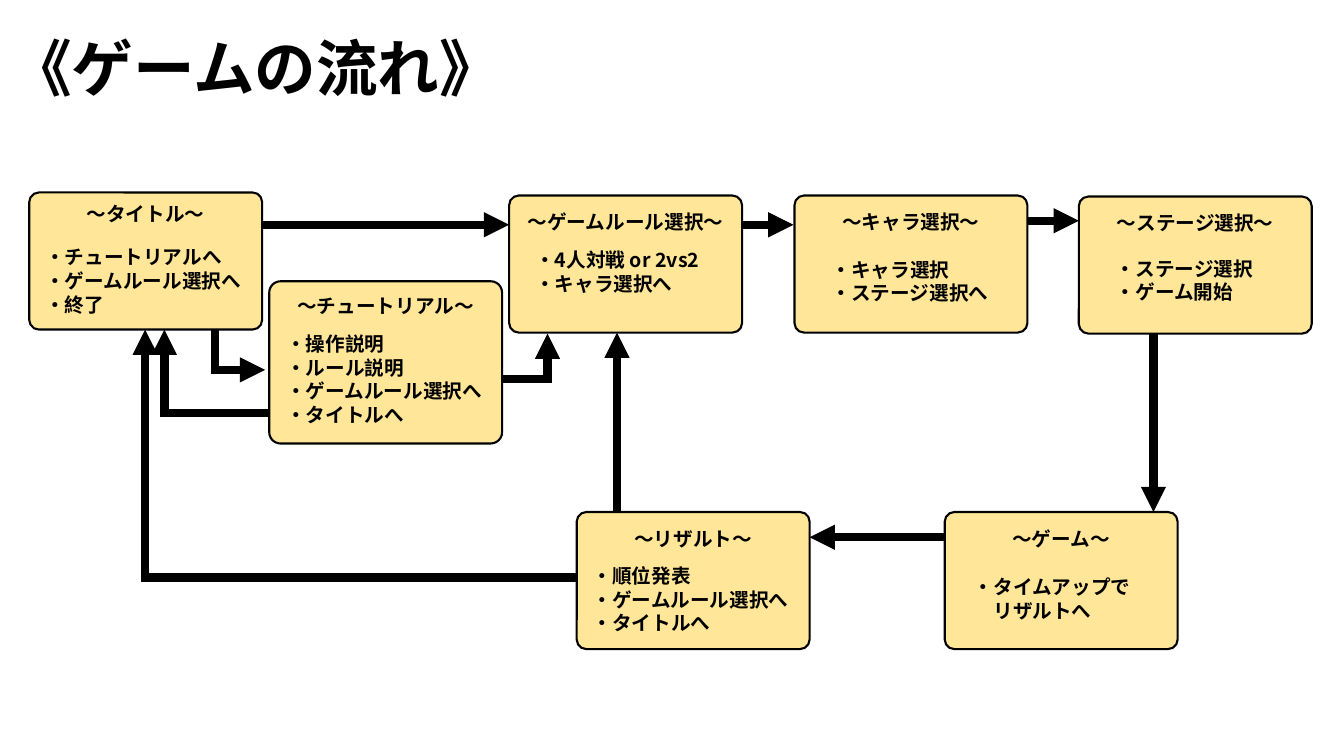
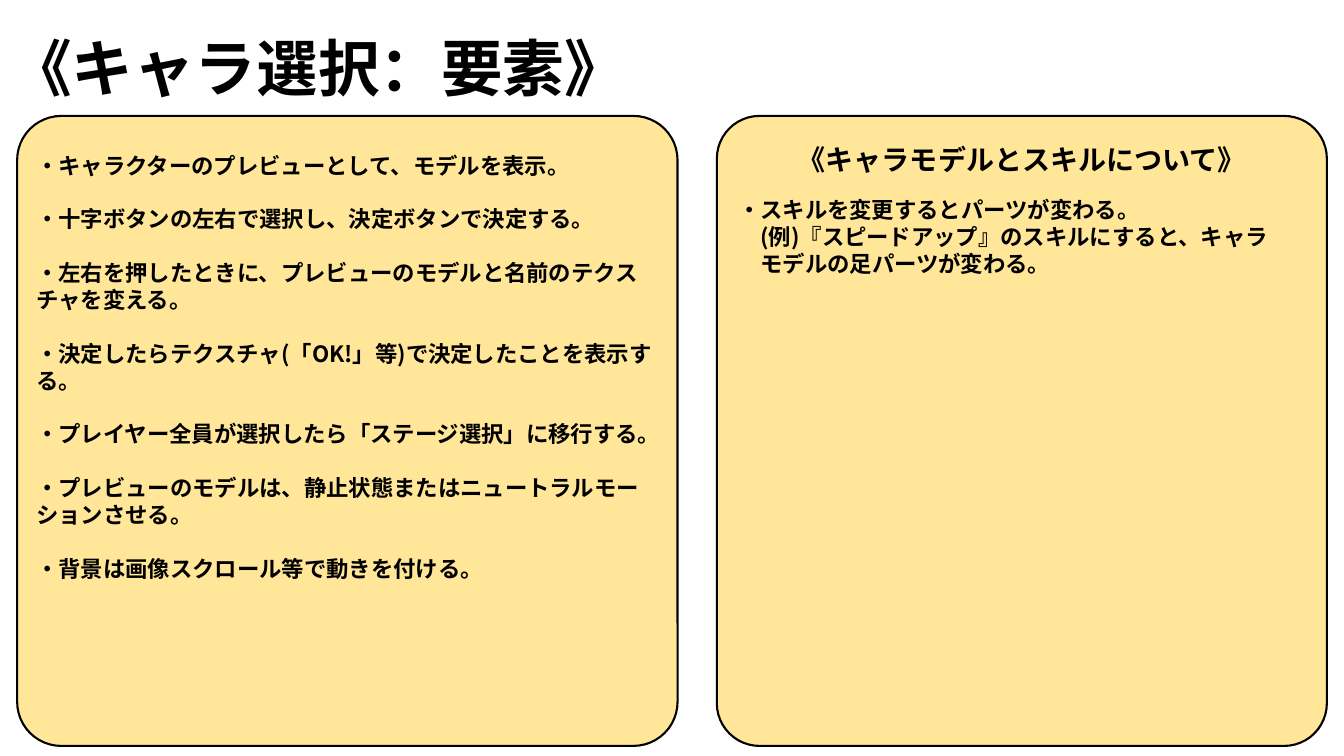
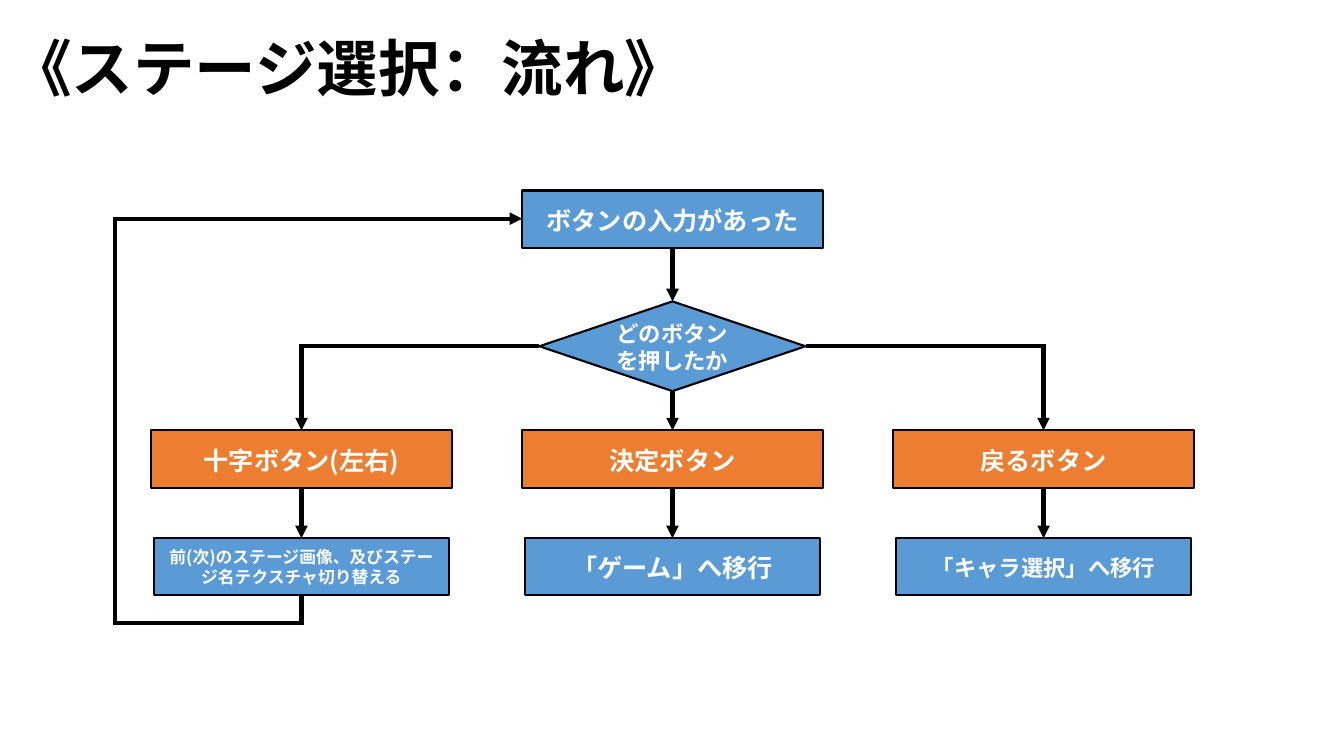
from itertools import pairwise
from lxml.etree import SubElement
from pptx import Presentation
from pptx.dml.color import RGBColor
from pptx.enum.shapes import MSO_CONNECTOR, MSO_SHAPE
from pptx.enum.text import MSO_ANCHOR, MSO_AUTO_SIZE, PP_ALIGN
from pptx.oxml.ns import qn
from pptx.util import Inches, Pt

FONT = "Noto Sans CJK JP"
BLACK, WHITE = "000000", "FFFFFF"
CREAM, BLUE, ORANGE = "FFE699", "5B9BD5", "ED7D31"


def tint(code):
    return RGBColor.from_string(code)


def write(frame, lines, size=14, color=BLACK, align=PP_ALIGN.LEFT,
          anchor=MSO_ANCHOR.TOP, gap=0):
    frame.word_wrap = True
    frame.auto_size = MSO_AUTO_SIZE.NONE
    frame.vertical_anchor = anchor
    frame.margin_left = frame.margin_right = Inches(0.1)
    frame.margin_top = Inches(0.05 + size / 1000)
    frame.margin_bottom = Inches(0.05)
    for rank, line in enumerate(lines):
        text, left, first = line if isinstance(line, tuple) else (line, 0, 0)
        para = frame.paragraphs[0] if rank == 0 else frame.add_paragraph()
        para.text = text
        para.alignment = align
        para.line_spacing = Pt(size * 1.2)
        para.space_before = Pt(0)
        para.space_after = Pt(gap)
        props = para._p.get_or_add_pPr()
        props.set("marL", str(Pt(left)))
        props.set("indent", str(Pt(first)))
        SubElement(props, qn("a:buNone"))
        for run in para.runs:
            font = run.font
            font.name, font.size, font.bold = FONT, Pt(size), True
            font.color.rgb = tint(color)
            east = SubElement(run._r.get_or_add_rPr(), qn("a:ea"))
            east.set("typeface", FONT)


class Deck:
    def __init__(self):
        self.file = Presentation()
        self.file.slide_width = Inches(13.33)
        self.file.slide_height = Inches(7.5)
        self.slide = None

    def start(self, title, layout=5):
        self.slide = self.file.slides.add_slide(self.file.slide_layouts[layout])
        self.place(self.slide.shapes.title, (0, 0.2, 12.5, 0.84))
        write(self.slide.shapes.title.text_frame, [title], size=44)

    def place(self, shape, box):
        shape.left, shape.top, shape.width, shape.height = map(Inches, box)

    def body(self, index, box, lines, **style):
        holder = self.slide.placeholders[index]
        self.place(holder, box)
        holder.element.getparent().append(holder.element)
        write(holder.text_frame, lines, **style)

    def text(self, box, lines, **style):
        label = self.slide.shapes.add_textbox(*map(Inches, box))
        write(label.text_frame, lines, **style)

    def shape(self, kind, box, fill):
        shape = self.slide.shapes.add_shape(kind, *map(Inches, box))
        shape.shadow.inherit = False
        shape.fill.solid()
        shape.fill.fore_color.rgb = tint(fill)
        shape.line.color.rgb = tint(BLACK)
        shape.line.width = Pt(1.5)
        return shape

    def panel(self, box):
        self.shape(MSO_SHAPE.ROUNDED_RECTANGLE, box, CREAM).adjustments[0] = 0.07

    def card(self, spot, head, drop, spare, lines, high=1.36):
        x, y = spot
        left, top, width = spare
        self.panel((x, y, 2.31, high))
        self.text((x, y + drop, 2.31, 0.34), [head], align=PP_ALIGN.CENTER)
        self.text((left, top, width, 0.1 + 0.24 * len(lines)), lines)

    def node(self, mid, top, size, text, fill=BLUE, points=18,
             kind=MSO_SHAPE.FLOWCHART_PROCESS):
        wide, high = size
        shape = self.shape(kind, (mid - wide / 2, top, wide, high), fill)
        write(shape.text_frame, [text], size=points, color=WHITE,
              align=PP_ALIGN.CENTER, anchor=MSO_ANCHOR.MIDDLE)

    def arrow(self, *stops, width=3):
        legs = list(pairwise(stops))
        for rank, (tail, head) in enumerate(legs):
            leg = self.slide.shapes.add_connector(
                MSO_CONNECTOR.STRAIGHT, *map(Inches, tail + head))
            leg.line.color.rgb = tint(BLACK)
            leg.line.width = Pt(width)
            line = leg.line._get_or_add_ln()
            if rank:
                line.set("cap", "sq")
            if rank == len(legs) - 1:
                SubElement(line, qn("a:tailEnd")).set("type", "triangle")
            SubElement(leg._element.spPr, qn("a:effectLst"))


def game(deck):
    deck.start("《ゲームの流れ》")
    deck.card((0.29, 1.91), "～タイトル～", 0.03, (0.35, 2.37, 2.17),
              ["・チュートリアルへ", "・ゲームルール選択へ", "・終了"])
    deck.card((2.67, 2.79), "～チュートリアル～", 0.06, (2.74, 3.23, 2.17),
              ["・操作説明", "・ルール説明", "・ゲームルール選択へ", "・タイトルへ"],
              high=1.61)
    deck.card((7.88, 1.94), "～キャラ選択～", 0.08, (8.15, 2.49, 1.77),
              ["・キャラ選択", "・ステージ選択へ"])
    deck.card((9.37, 5.08), "～ゲーム～", 0.08, (9.56, 5.64, 1.77),
              [("・タイムアップで\vリザルトへ", 14, -14)])
    deck.card((5.72, 5.08), "～リザルト～", 0.08, (5.78, 5.53, 2.17),
              ["・順位発表", "・ゲームルール選択へ", "・タイトルへ"])
    deck.card((5.05, 1.94), "～ゲームルール選択～", 0.08, (5.21, 2.4, 1.84),
              ["・4人対戦 or 2vs2", "・キャラ選択へ"])
    deck.card((10.7, 1.95), "～ステージ選択～", 0.08, (10.97, 2.48, 1.58),
              ["・ステージ選択", "・ゲーム開始"])
    for stops in [
        [(2.6, 2.23), (5.05, 2.23)],
        [(7.35, 2.23), (7.87, 2.23)],
        [(10.19, 2.19), (10.7, 2.19)],
        [(11.44, 3.3), (11.44, 5.08)],
        [(9.37, 5.33), (8.03, 5.33)],
        [(6.12, 5.08), (6.12, 3.3)],
        [(5.72, 5.73), (1.44, 5.73), (1.44, 3.27)],
        [(2.13, 3.27), (2.13, 3.67), (2.63, 3.67)],
        [(4.98, 3.76), (5.43, 3.76), (5.43, 3.31)],
        [(2.66, 4.1), (1.63, 4.1), (1.63, 3.27)],
    ]:
        deck.arrow(*stops, width=6)


def parts(deck):
    deck.start("《キャラ選択：要素》", layout=3)
    deck.panel((0.17, 1.15, 6.55, 6.25))
    deck.panel((7.11, 1.15, 6.05, 6.25))
    deck.body(1, (0.26, 1.44, 6.46, 4.41), [
        "・キャラクターのプレビューとして、モデルを表示。",
        "・十字ボタンの左右で選択し、決定ボタンで決定する。",
        "・左右を押したときに、プレビューのモデルと名前のテクスチャを変える。",
        "・決定したらテクスチャ(「OK!」等)で決定したことを表示する。",
        "・プレイヤー全員が選択したら「ステージ選択」に移行する。",
        "・プレビューのモデルは、静止状態またはニュートラルモーションさせる。",
        "・背景は画像スクロール等で動きを付ける。",
    ], size=16, gap=19.2)
    deck.text((7.11, 1.34, 6.05, 0.44), ["《キャラモデルとスキルについて》"],
              size=20, align=PP_ALIGN.CENTER)
    deck.body(2, (7.22, 1.88, 5.54, 1.18), [
        "・スキルを変更するとパーツが変わる。",
        ("(例)『スピードアップ』のスキルにすると、キャラ", 0, 16),
        ("モデルの足パーツが変わる。", 0, 16),
    ], size=16)


def stage(deck):
    deck.start("《ステージ選択：流れ》")
    mid, step = 6.67, 3.68
    wide, slim = (2.98, 0.57), (2.93, 0.56)
    deck.node(mid, 1.89, wide, "ボタンの入力があった")
    deck.node(mid, 2.99, (2.64, 0.89), "どのボタンを押したか", points=16,
              kind=MSO_SHAPE.FLOWCHART_DECISION)
    deck.arrow((mid, 2.46), (mid, 2.99))
    for side, key, move, points in [
        (-1, "十字ボタン(左右)", "前(次)のステージ画像、及びステージ名テクスチャ切り替える", 12),
        (0, "決定ボタン", "「ゲーム」へ移行", 18),
        (1, "戻るボタン", "「キャラ選択」へ移行", 16),
    ]:
        x = mid + side * step
        deck.node(x, 4.27, wide, key, fill=ORANGE)
        deck.node(x, 5.34, slim, move, points=points)
        deck.arrow((x, 4.84), (x, 5.34))
        bend = [(mid + side * 1.32, 3.43), (x, 3.43)] if side else [(x, 3.88)]
        deck.arrow(*bend, (x, 4.27))
    left = mid - step
    deck.arrow((left, 5.9), (left, 6.18), (1.14, 6.18), (1.14, 2.17), (5.18, 2.17))


def main():
    deck = Deck()
    for build in (game, parts, stage):
        build(deck)
    deck.file.save("out.pptx")


if __name__ == "__main__":
    main()
